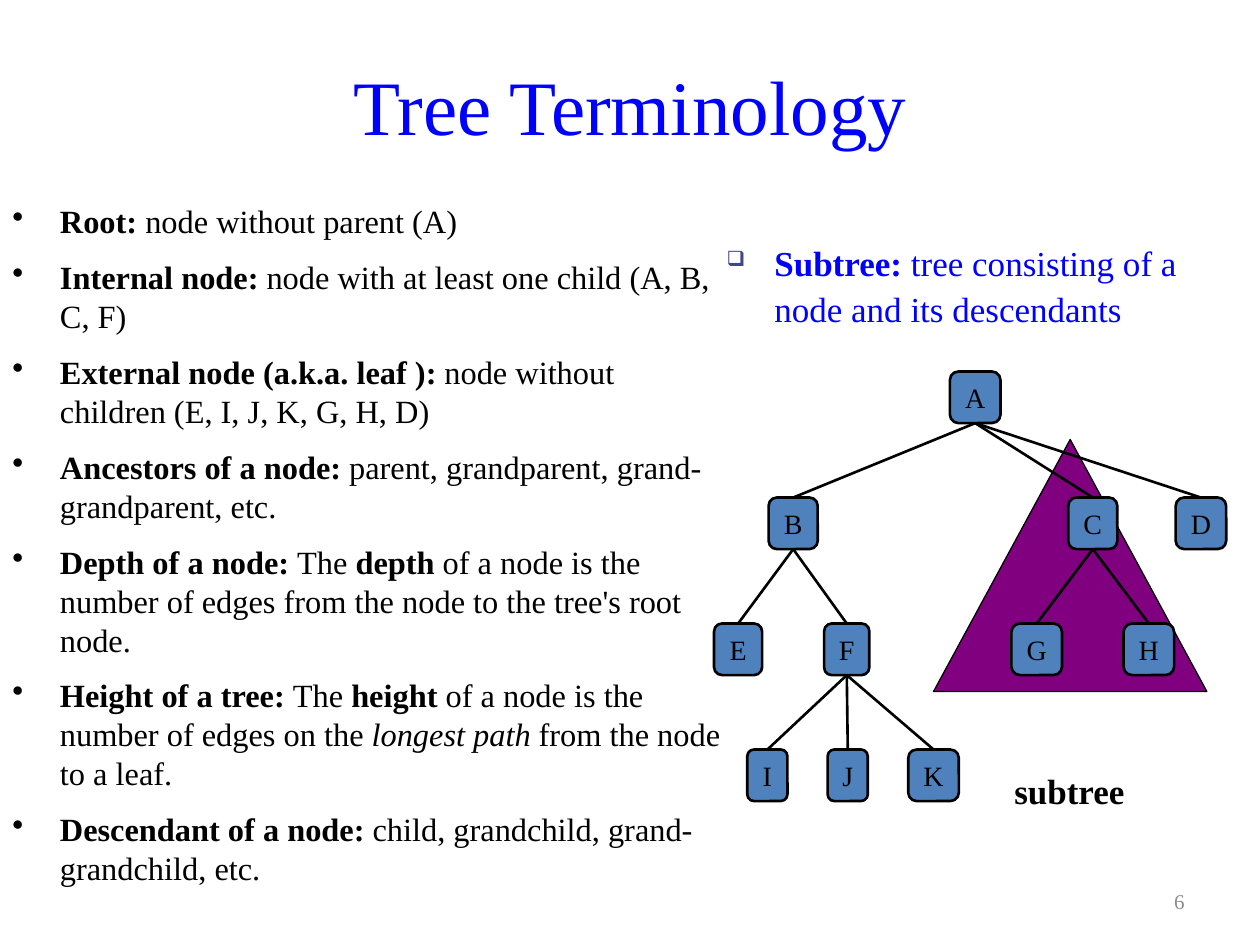
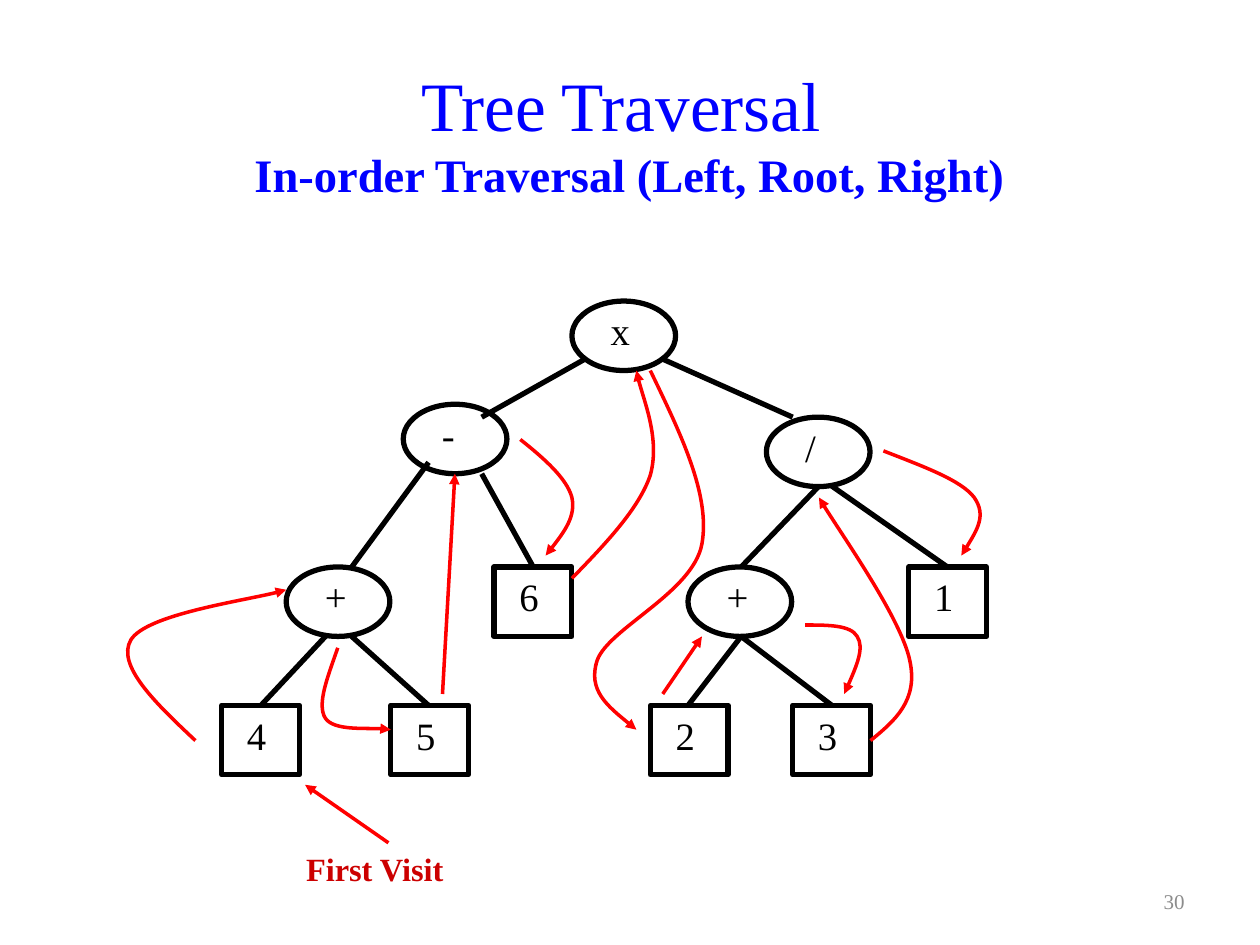
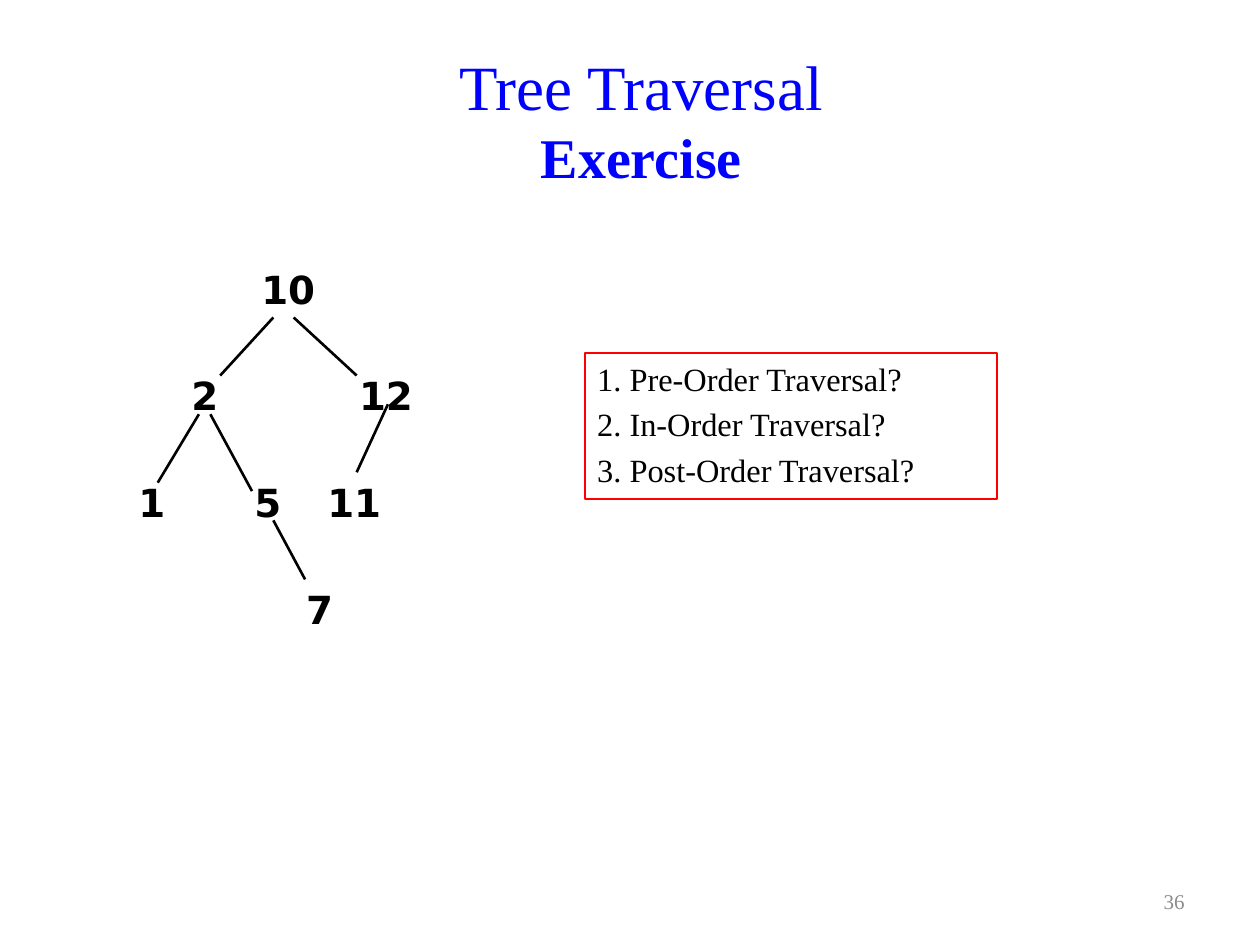
from lxml import etree
from pptx import Presentation
from pptx import util as u
from pptx.dml.color import RGBColor
from pptx.enum import shapes as kinds, text as txt
from pptx.oxml import ns

SERIF, SANS = "Times New Roman", "DejaVu Sans"
BLACK, BLUE, RED, DARK_RED = "000000", "0000FF", "FF0000", "CC0000"
NODE_BLUE, PURPLE, GREY, BULLET_BLUE = "4F81BD", "800080", "8C8C8C", "40458C"
LEFT, CENTER, RIGHT = txt.PP_ALIGN.LEFT, txt.PP_ALIGN.CENTER, txt.PP_ALIGN.RIGHT
TOP, MIDDLE = txt.MSO_ANCHOR.TOP, txt.MSO_ANCHOR.MIDDLE
SHAPE = kinds.MSO_SHAPE
BOTTOM_SITE, TOP_SITE = 2, 0


def rgb(color):
    return RGBColor.from_string(color)


def cm(*lengths):
    return [u.Cm(length) for length in lengths]


def style(paragraph, size, color=BLACK, font=SERIF, bold=None, align=LEFT):
    paragraph.alignment = align
    paragraph.font.size = u.Pt(size)
    paragraph.font.name = font
    paragraph.font.bold = bold
    paragraph.font.color.rgb = rgb(color)


def add_runs(paragraph, pieces):
    """Each piece is (text, marks); the marks are "b", "i" or ""."""
    for words, marks in pieces:
        run = paragraph.add_run()
        run.text = words
        if marks == "b":
            run.font.bold = True
        elif marks == "i":
            run.font.italic = True


def add_bullet(paragraph, char, color=None, percent=None):
    """Bullet a styled paragraph; its marks must precede the font defaults."""
    props = paragraph._p.get_or_add_pPr()
    indent = u.Cm(0.96)
    props.set("marL", str(indent))
    props.set("indent", str(-indent))
    marks = []
    if color:
        marks.append(etree.Element(ns.qn("a:buClr")))
        etree.SubElement(marks[0], ns.qn("a:srgbClr"), val=color)
    if percent:
        marks.append(etree.Element(ns.qn("a:buSzPct"), val=str(percent * 1000)))
    marks.append(etree.Element(ns.qn("a:buChar"), char=char))
    font_defaults = props.find(ns.qn("a:defRPr"))
    for mark in marks:
        font_defaults.addprevious(mark)


def add_text(slide, box, words="", size=18.5, anchor=TOP, wrap=True, **look):
    area = slide.shapes.add_textbox(*cm(*box))
    frame = area.text_frame
    frame.word_wrap = wrap
    frame.vertical_anchor = anchor
    frame.text = words
    for paragraph in frame.paragraphs:
        style(paragraph, size, **look)
    return frame


def add_outlined(slide, kind, box, line=BLACK, width=1.5, fill=None):
    shape = slide.shapes.add_shape(kind, *cm(*box))
    shape.shadow.inherit = False
    if fill:
        shape.fill.solid()
        shape.fill.fore_color.rgb = rgb(fill)
    else:
        shape.fill.background()
    shape.line.color.rgb = rgb(line)
    shape.line.width = u.Pt(width)
    return shape


def add_arrowhead(shape):
    outline = shape._element.spPr.find(ns.qn("a:ln"))
    etree.SubElement(outline, ns.qn("a:tailEnd"), type="triangle")


def add_line(slide, start, end, color=BLACK, width=1.5, arrow=False):
    line = slide.shapes.add_connector(kinds.MSO_CONNECTOR.STRAIGHT, *cm(*start, *end))
    line.line.color.rgb = rgb(color)
    line.line.width = u.Pt(width)
    if arrow:
        add_arrowhead(line)
    etree.SubElement(line._element.spPr, ns.qn("a:effectLst"))
    return line


def add_curved_arrow(slide, points, color=RED, width=2):
    """Start point, then three Bézier points for each curve."""
    start, *rest = [cm(*point) for point in points]
    builder = slide.shapes.build_freeform(*start)
    builder.add_line_segments(rest, close=False)
    curve = builder.convert_to_shape()
    segments = list(curve._element.iter(ns.qn("a:lnTo")))
    for first in range(0, len(segments), 3):
        bezier = etree.Element(ns.qn("a:cubicBezTo"))
        segments[first].addprevious(bezier)
        for segment in segments[first:first + 3]:
            bezier.append(segment[0])
            segment.getparent().remove(segment)
    curve.shadow.inherit = False
    curve.fill.background()
    curve.line.color.rgb = rgb(color)
    curve.line.width = u.Pt(width)
    add_arrowhead(curve)


def shifted(points, box):
    return [(x + box[0], y + box[1]) for x, y in points]


def add_title(slide, box, lines):
    """Each line is (text, size); the lines after the first are bold."""
    frame = add_text(slide, box, "\n".join(words for words, _ in lines), anchor=MIDDLE)
    for row, (paragraph, (_, size)) in enumerate(zip(frame.paragraphs, lines)):
        style(paragraph, size, BLUE, bold=row > 0, align=CENTER)


def add_page_number(slide, number):
    add_text(slide, (18.21, 17.65, 5.92, 1.02), str(number), 12, MIDDLE,
             color=GREY, align=RIGHT)


TERMS = [
    [("Root: ", "b"), ("node without parent (A)", "")],
    [("Internal node: ", "b"), ("node with at least one child (A, B, C, F)", "")],
    [("External node (a.k.a. leaf ): ", "b"),
     ("node without children (E, I, J, K, G, H, D)", "")],
    [("Ancestors of a node: ", "b"),
     ("parent, grandparent, grand-grandparent, etc.", "")],
    [("Depth of a node: ", "b"), ("The ", ""), ("depth", "b"),
     (" of a node is the number of edges from the node to the tree's root node.", "")],
    [("Height of a tree: ", "b"), ("The ", ""), ("height", "b"),
     (" of a node is the number of edges on the ", ""), ("longest path", "i"),
     (" from the node to a leaf.", "")],
    [("Descendant of a node: ", "b"),
     ("child, grandchild, grand-grandchild, etc.", "")],
]


def add_terms(slide, box):
    frame = add_text(slide, box)
    for index, pieces in enumerate(TERMS):
        paragraph = frame.add_paragraph() if index else frame.paragraphs[0]
        style(paragraph, 18.5)
        paragraph.space_before, paragraph.space_after = u.Pt(3.7), u.Pt(6)
        add_bullet(paragraph, "•")
        add_runs(paragraph, pieces)


def add_subtree_definition(slide, box):
    paragraph = add_text(slide, box, size=20, color=BLUE).paragraphs[0]
    paragraph.line_spacing = 1.1
    add_bullet(paragraph, "❑", BULLET_BLUE, 60)
    add_runs(paragraph, [("Subtree:", "b"),
                         (" tree consisting of a node and its descendants", "")])


# name: (centre, level, width, parent)
LETTERS = {
    "A": (5.26, 0, 1.02, None), "B": (1.59, 1, 0.99, "A"), "C": (7.63, 1, 0.99, "A"),
    "D": (9.81, 1, 1.02, "A"), "E": (0.48, 2, 0.97, "B"), "F": (2.67, 2, 0.91, "B"),
    "G": (6.5, 2, 1.02, "C"), "H": (8.76, 2, 1.02, "C"), "I": (1.07, 3, 0.81, "F"),
    "J": (2.69, 3, 0.81, "F"), "K": (4.42, 3, 1.02, "F"),
}


def add_subtree_marker(slide, box):
    marker = add_outlined(slide, SHAPE.ISOSCELES_TRIANGLE, box, width=0.75, fill=PURPLE)
    frame = marker.text_frame
    frame.word_wrap = False
    frame.vertical_anchor = txt.MSO_ANCHOR.BOTTOM
    frame.margin_top, frame.margin_bottom = cm(7.37, 0)
    frame.text = "subtree"
    style(frame.paragraphs[0], 20, bold=True)


def add_letter_tree(slide, box):
    left, top = box
    level_gap, height = 2.54, 1.04
    nodes = {}
    for letter, (centre, level, width, _) in LETTERS.items():
        place = (left + centre - width / 2, top + level * level_gap, width, height)
        node = add_outlined(slide, SHAPE.ROUNDED_RECTANGLE, place, fill=NODE_BLUE)
        node.text_frame.word_wrap = False
        node.text_frame.vertical_anchor = MIDDLE
        node.text_frame.text = letter
        style(node.text_frame.paragraphs[0], 16, align=CENTER)
        nodes[letter] = node
    for letter, (_, _, _, parent) in LETTERS.items():
        if parent:
            edge = add_line(slide, (0, 0), (1, 1))
            edge.begin_connect(nodes[parent], BOTTOM_SITE)
            edge.end_connect(nodes[letter], TOP_SITE)


OPERATORS = [("x", 9.19, 0), ("-", 5.79, 2.08), ("+", 11.53, 5.36),
             ("+", 3.43, 5.36), ("/", 13.11, 2.34)]
OPERANDS = [("6", 7.62, 5.36), ("1", 15.98, 5.36), ("2", 10.77, 8.15),
            ("3", 13.64, 8.15), ("4", 2.13, 8.15), ("5", 5.54, 8.15)]
EXPRESSION_EDGES = [
    [(9.45, 1.17), (7.37, 2.34)], [(11.02, 1.17), (13.64, 2.34)],
    [(6.3, 3.25), (4.75, 5.36)], [(7.37, 3.48), (8.41, 5.36)],
    [(4.22, 6.76), (2.92, 8.15)], [(4.75, 6.76), (6.3, 8.15)],
    [(14.17, 3.73), (12.6, 5.36)], [(14.43, 3.73), (16.76, 5.36)],
    [(12.6, 6.76), (11.53, 8.15)], [(12.6, 6.76), (14.43, 8.15)],
]
# Visiting order; two points make a straight arrow, more a curved one
VISITS = [
    [(5.49, 10.92), (3.81, 9.75)],
    [(1.6, 8.86), (0.79, 8.1), (0, 7.34), (0.3, 6.83),
     (0.61, 6.32), (2.92, 5.99), (3.43, 5.82)],
    [(4.47, 6.99), (4.27, 7.57), (4.04, 8.13), (4.22, 8.41),
     (4.39, 8.66), (5.36, 8.59), (5.54, 8.64)],
    [(6.58, 7.92), (6.83, 3.48)],
    [(8.15, 2.79), (8.64, 3.18), (9.09, 3.58), (9.19, 3.96),
     (9.27, 4.34), (8.97, 4.75), (8.66, 5.13)],
    [(9.19, 5.59), (9.86, 4.9), (10.54, 4.19), (10.77, 3.51),
     (10.97, 2.79), (10.54, 1.75), (10.49, 1.4)],
    [(10.77, 1.4), (11.38, 2.67), (11.99, 3.91), (11.81, 4.9), (11.63, 5.87),
     (9.93, 6.6), (9.7, 7.24), (9.5, 7.85), (10.01, 8.25), (10.49, 8.64)],
    [(11.02, 7.92), (11.81, 6.76)],
    [(13.89, 6.53), (14.35, 6.53), (14.81, 6.53), (14.94, 6.76),
     (15.09, 6.99), (14.88, 7.47), (14.68, 7.92)],
    [(15.21, 8.86), (15.7, 8.46), (16.18, 8.05), (16, 7.24),
     (15.82, 6.4), (14.48, 4.5), (14.17, 3.96)],
    [(15.47, 3.02), (16.26, 3.33), (17.04, 3.61), (17.3, 3.96),
     (17.55, 4.32), (17.3, 4.72), (17.04, 5.13)],
]


def add_expression_tree(slide, box):
    left, top = box
    for kind, nodes, width, label_shift in ((SHAPE.OVAL, OPERATORS, 2.09, 0.53),
                                            (SHAPE.RECTANGLE, OPERANDS, 1.57, 0.26)):
        for symbol, x, y in nodes:
            add_outlined(slide, kind, (left + x, top + y, width, 1.4), width=3)
            add_text(slide, (left + x + label_shift, top + y, 0.91, 1.19), symbol,
                     22.1, wrap=False)
    for edge in EXPRESSION_EDGES:
        add_line(slide, *shifted(edge, box), width=3)


def add_visits(slide, box):
    for visit in VISITS:
        points = shifted(visit, box)
        if len(points) == 2:
            add_line(slide, *points, color=RED, width=2, arrow=True)
        else:
            add_curved_arrow(slide, points)
    add_text(slide, (box[0] + 3.58, box[1] + 10.92, 4.45, 1.04), "First Visit",
             color=DARK_RED, bold=True)


# number, left, level
NUMBERS = [("10", 2.48, 0), ("2", 1.07, 1), ("12", 4.45, 1), ("1", 0, 2),
           ("5", 2.34, 2), ("11", 3.81, 2), ("7", 3.38, 3)]
NUMBER_EDGES = [
    [(2.97, 1.17), (1.9, 2.34)], [(3.38, 1.17), (4.65, 2.34)],
    [(1.47, 3.12), (0.64, 4.5)], [(1.7, 3.12), (2.54, 4.67)],
    [(2.97, 5.26), (3.61, 6.45)], [(5.28, 2.92), (4.65, 4.29)],
]


def add_number_tree(slide, box):
    left, top = box
    for number, x, level in NUMBERS:
        add_text(slide, (left + x, top + level * 2.15, 1.7, 1.19), number, 22.1,
                 wrap=False, font=SANS, bold=True)
    for edge in NUMBER_EDGES:
        add_line(slide, *shifted(edge, box))


def add_questions(slide, box):
    frame = add_outlined(slide, SHAPE.RECTANGLE, box, RED, 1.25).text_frame
    frame.word_wrap = True
    frame.vertical_anchor = TOP
    frame.text = "\n".join(f"{place}. {order}-Order Traversal?" for place, order
                           in enumerate(("Pre", "In", "Post"), 1))
    for paragraph in frame.paragraphs:
        style(paragraph, 18.5)
        paragraph.space_before = u.Pt(3.7)


def terminology_slide(slide):
    add_subtree_marker(slide, (18.82, 8.86, 5.51, 5.08))
    add_title(slide, (1.27, 0.53, 22.86, 3.18), [("Tree Terminology", 44)])
    add_terms(slide, (0, 3.94, 14.81, 15.11))
    add_letter_tree(slide, (14.4, 7.49))
    add_subtree_definition(slide, (14.4, 4.65, 10.31, 2.74))
    add_page_number(slide, 6)


def in_order_slide(slide):
    add_title(slide, (1.27, 1.07, 22.86, 3.18),
              [("Tree Traversal ", 39.6),
               ("In-order Traversal (Left, Root, Right)", 26.6)])
    diagram = (2.34, 6.07)
    add_expression_tree(slide, diagram)
    add_visits(slide, diagram)
    add_page_number(slide, 30)


def exercise_slide(slide):
    add_number_tree(slide, (2.54, 5.23))
    add_questions(slide, (11.79, 7.11, 8.31, 2.95))
    add_title(slide, (1.5, 0.89, 22.86, 3), [("Tree Traversal", 36), ("Exercise", 32)])
    add_page_number(slide, 36)


def main():
    deck = Presentation()
    deck.slide_width, deck.slide_height = cm(25.4, 19.05)
    blank = deck.slide_layouts[6]
    for build in (terminology_slide, in_order_slide, exercise_slide):
        build(deck.slides.add_slide(blank))
    deck.save("out.pptx")


if __name__ == "__main__":
    main()
